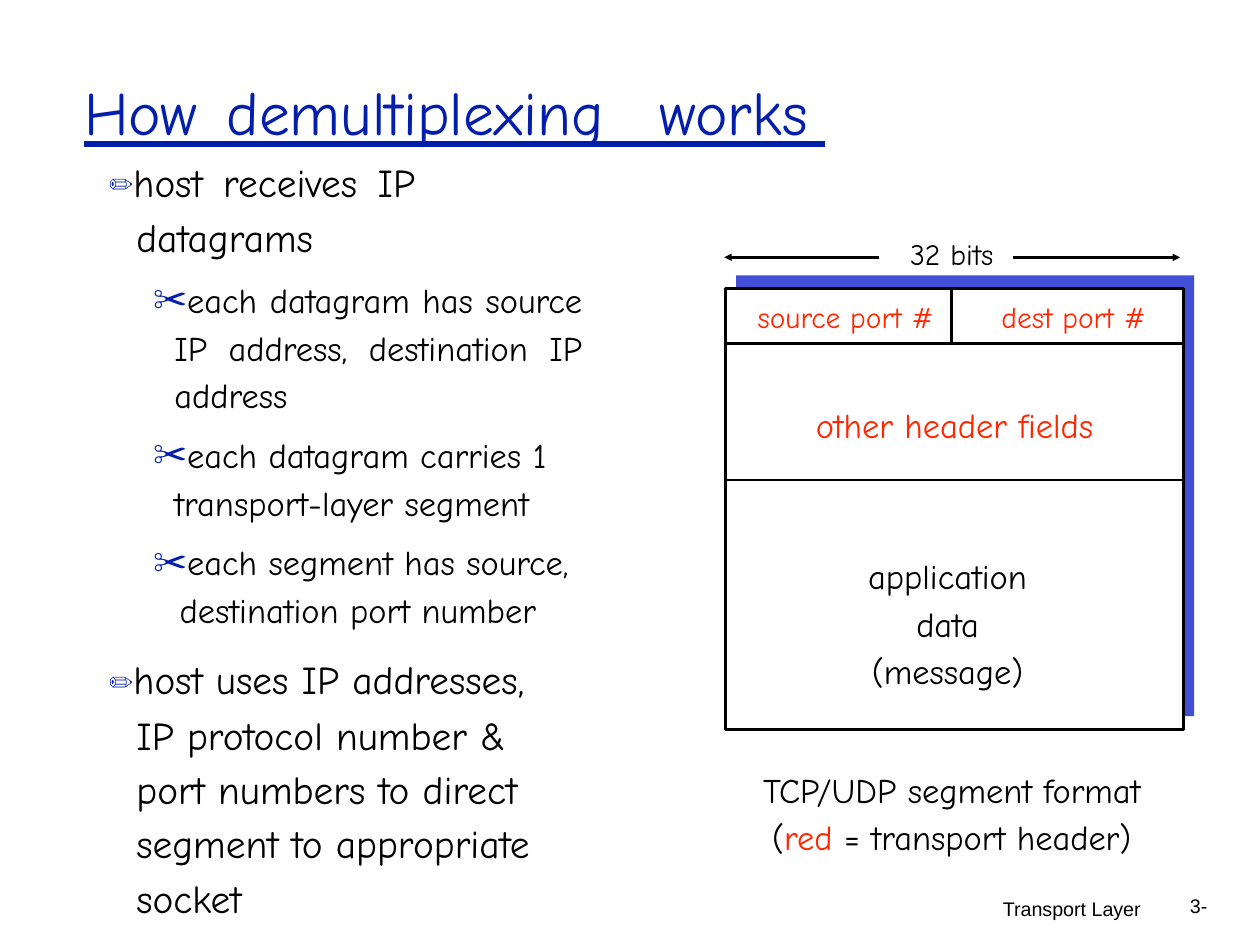
from dataclasses import dataclass
from pptx import Presentation
from pptx.dml.color import RGBColor as Rgb
from pptx.enum.shapes import MSO_CONNECTOR as Link, MSO_SHAPE as Kind
from pptx.enum.text import MSO_ANCHOR as Anchor, MSO_AUTO_SIZE as Fit, PP_ALIGN as Align
from pptx.oxml.ns import qn
from pptx.util import Cm, Pt
from lxml import etree


@dataclass(frozen=True)
class Theme:
    hand: str = "Comic Neue"
    sans: str = "Arial"
    blue: str = "021EAA"
    shade: str = "434ED6"
    red: str = "FF2600"
    black: str = "000000"
    white: str = "FFFFFF"
    title: int = 50
    mark: int = 36
    large: int = 32
    text: int = 28
    label: int = 24
    foot: int = 16


LOOK = Theme()
POINTS = [
    (0, "host receives IP datagrams", 5.26, 0, Align.JUSTIFY),
    (1, "each datagram has source IP address, destination IP address", 0.48, 0, Align.JUSTIFY),
    (1, "each datagram carries 1 transport-layer segment", 0.65, 0, Align.LEFT),
    (1, "each segment has source, destination port number", 0.48, 0.15, Align.LEFT),
    (0, "host uses IP addresses, IP protocol number & port numbers to direct "
        "segment to appropriate socket", 1.5, 0, Align.LEFT),
]
LEVELS = [(0.89, 0.79, LOOK.large), (1.98, 0.61, LOOK.text)]


def child(node, tag, **attrs):
    return etree.SubElement(node, qn(tag), {k: str(v) for k, v in attrs.items()})


def write(frame, text, size=LOOK.text, color=LOOK.black, font=LOOK.hand,
          align=Align.LEFT, anchor=Anchor.TOP, top=0.03, right=0, lead=None,
          gap=0, more=False):
    frame.word_wrap, frame.auto_size = True, Fit.NONE
    frame.vertical_anchor = anchor
    frame.margin_left = frame.margin_bottom = 0
    frame.margin_top, frame.margin_right = Cm(top), Cm(right)
    para = frame.add_paragraph() if more else frame.paragraphs[0]
    para.alignment, para.line_spacing, para.space_before = align, lead, Pt(gap)
    parts = [(text, color)] if isinstance(text, str) else text
    for words, ink in parts:
        for i, line in enumerate(words.split("\n")):
            if i:
                para.add_line_break()
            run = para.add_run()
            run.text = line
            run.font.name, run.font.size = font, Pt(size)
            run.font.color.rgb = Rgb.from_string(ink)
    return para


def label(slide, box, text, **form):
    frame = slide.shapes.add_textbox(*map(Cm, box)).text_frame
    return write(frame, text, **form)


def block(slide, box, fill, line=None):
    rect = slide.shapes.add_shape(Kind.RECTANGLE, *map(Cm, box))
    rect.shadow.inherit = False
    rect.fill.solid()
    rect.fill.fore_color.rgb = Rgb.from_string(fill)
    if line:
        rect.line.color.rgb = Rgb.from_string(line)
        rect.line.width = Pt(2)
    else:
        rect.line.fill.background()
    return rect.text_frame


def rule(slide, ends, color=LOOK.black, width=2, arrow=False):
    link = slide.shapes.add_connector(Link.STRAIGHT, *map(Cm, ends))
    link.line.color.rgb = Rgb.from_string(color)
    link.line.width = Pt(width)
    if arrow:
        child(link.line._get_or_add_ln(), "a:tailEnd", type="triangle")
    child(link._element.spPr, "a:effectLst")


def heading(slide, box):
    x, y, w, h = box
    title = slide.shapes.title
    title.left, title.top, title.width, title.height = map(Cm, box)
    para = write(title.text_frame, "How\tdemultiplexing\tworks",
                 size=LOOK.title, color=LOOK.blue)
    tabs = child(para._p.get_or_add_pPr(), "a:tabLst")
    for stop in (4.08, 16.5):
        child(tabs, "a:tab", pos=Cm(stop), algn="l")
    rule(slide, (x, y + 2.05, x + w, y + 2.05), LOOK.blue, 4.25)


def bullets(slide, box):
    frame = slide.shapes.add_textbox(*map(Cm, box)).text_frame
    for i, (level, words, right, shift, align) in enumerate(POINTS):
        left, hang, size = LEVELS[level]
        text = words if level else [("✏", LOOK.blue), (words, LOOK.black)]
        para = write(frame, text, size=size, align=align, lead=1.15,
                     gap=10 if i else 1, more=i > 0)
        props = para._p.get_or_add_pPr()
        for key, value in (("marL", left + shift), ("marR", right), ("indent", -hang - shift)):
            props.set(key, str(Cm(value)))
        props.set("lvl", str(level))
        if level:
            child(child(props, "a:buClr"), "a:srgbClr", val=LOOK.blue)
            child(props, "a:buFont", typeface=LOOK.sans)
            child(props, "a:buChar", char="✂")
        else:
            mark = para.runs[0]
            mark.font.name, mark.font.size = LOOK.sans, Pt(LOOK.mark)
            mark._r.get_or_add_rPr().set("baseline", "9000")
            mark._r.get_or_add_rPr().set("spc", "-80")


def segment(slide, box):
    x, y, w, h = box
    port, other, half = 1.57, 3.92, 6.48
    body = port + other
    block(slide, (x + 0.3, y - 0.38, w, h), LOOK.shade)
    block(slide, box, LOOK.white, LOOK.black)
    rule(slide, (x + half, y + port, x + half, y))
    form = dict(align=Align.CENTER, anchor=Anchor.MIDDLE)
    for left, wide, text in ((0.2, half, "source port #"), (half + 0.17, w - half, "dest port #")):
        label(slide, (x + left, y, wide, port), text, size=LOOK.label,
              color=LOOK.red, **form)
    write(block(slide, (x, y + port, w, other), LOOK.white, LOOK.black),
          "other header fields", color=LOOK.red, top=0.75, **form)
    write(block(slide, (x, y + body, w, h - body), LOOK.white, LOOK.black),
          "application\ndata\n(message)", top=0.88, right=0.4, lead=1.15, **form)
    label(slide, (x, y - 1.55, w - 0.16, 1.1), "32 bits", size=LOOK.label, align=Align.CENTER)
    for start, end in ((4.4, -0.04), (w - 4.9, w - 0.1)):
        rule(slide, (x + start, y - 0.9, x + end, y - 0.9), arrow=True)
    label(slide, (x, y + h + 0.92, w - 0.16, 2.82),
          [("TCP/UDP segment format\n(", LOOK.black), ("red", LOOK.red),
           (" = transport header)", LOOK.black)], align=Align.CENTER, lead=1.15)


def footer(slide, box):
    x, y, w, h = box
    form = dict(size=LOOK.foot, font=LOOK.sans, top=0)
    label(slide, (x, y + 0.1, 4.2, h), "Transport Layer", **form)
    label(slide, (x + w - 0.6, y, 0.6, h), "3-", **form)


def main():
    deck = Presentation()
    deck.slide_width, deck.slide_height = Cm(36.12), Cm(27.1)
    slide = deck.slides.add_slide(deck.slide_layouts[5])
    heading(slide, (2.41, 2.08, 21.24, 2.18))
    bullets(slide, (3.02, 4.14, 14.15, 21.95))
    segment(slide, (20.8, 8.28, 13.13, 12.64))
    footer(slide, (28.75, 25.63, 5.96, 0.71))
    deck.save("out.pptx")


if __name__ == "__main__":
    main()
